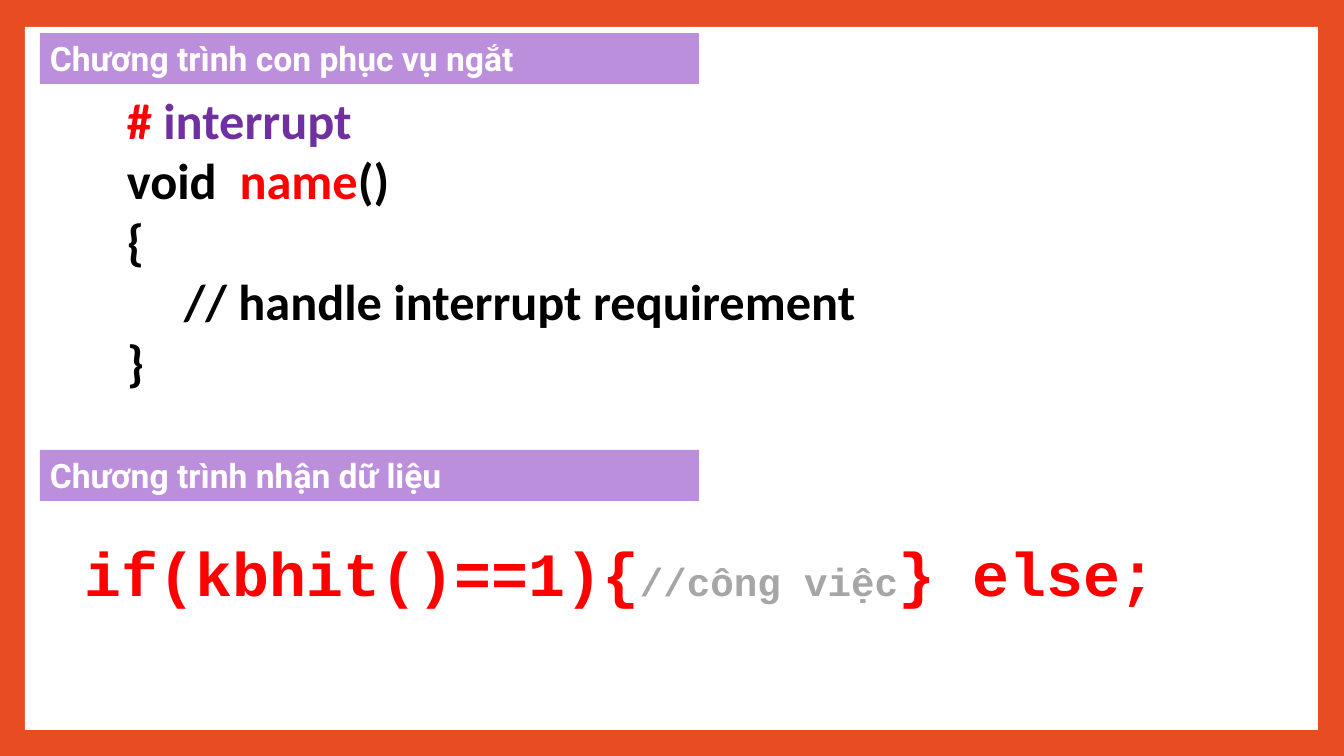
from pptx import Presentation
from pptx.dml.color import RGBColor
from pptx.enum.shapes import MSO_SHAPE
from pptx.enum.text import MSO_ANCHOR, MSO_AUTO_SIZE, PP_ALIGN
from pptx.util import Emu, Pt

PX = 914400 / 100.8

ORANGE = RGBColor(0xE8, 0x4C, 0x22)
WHITE = RGBColor(0xFF, 0xFF, 0xFF)
LILAC = RGBColor(0xBC, 0x8F, 0xDD)
PURPLE = RGBColor(0x70, 0x30, 0xA0)
RED = RGBColor(0xFF, 0x00, 0x00)
GREY = RGBColor(0xA6, 0xA6, 0xA6)
BLACK = RGBColor(0x00, 0x00, 0x00)

HANDLER_CODE = [
    [("# ", RED, 36), ("interrupt", PURPLE, 36)],
    [("void  ", BLACK, 36), ("name", RED, 36), ("()", BLACK, 36)],
    [("{", BLACK, 36)],
    [("     // handle interrupt requirement", BLACK, 36)],
    [("}", BLACK, 36)],
]
RECEIVE_CODE = [
    [("if(kbhit()==1){", RED, 44), ("//công việc", GREY, 28), ("} else;", RED, 44)],
]


def px(n):
    return Emu(round(n * PX))


def add_rect(slide, x, y, w, h, color):
    sp = slide.shapes.add_shape(MSO_SHAPE.RECTANGLE, px(x), px(y), px(w), px(h))
    sp.shadow.inherit = False
    sp.fill.solid()
    sp.fill.fore_color.rgb = color
    sp.line.fill.background()
    return sp


def add_heading(slide, y, text):
    tf = add_rect(slide, 40, y, 659, 51, LILAC).text_frame
    tf.word_wrap = True
    tf.auto_size = MSO_AUTO_SIZE.SHAPE_TO_FIT_TEXT
    tf.vertical_anchor = MSO_ANCHOR.TOP
    p = tf.paragraphs[0]
    p.text = text
    p.alignment = PP_ALIGN.LEFT
    p.font.name = "Roboto"
    p.font.size = Pt(24)
    p.font.bold = True
    p.font.color.rgb = WHITE


def add_code(slide, x, y, w, h, font, lines):
    tf = slide.shapes.add_textbox(px(x), px(y), px(w), px(h)).text_frame
    tf.word_wrap = True
    tf.auto_size = MSO_AUTO_SIZE.SHAPE_TO_FIT_TEXT
    for i, line in enumerate(lines):
        p = tf.add_paragraph() if i else tf.paragraphs[0]
        p.font.name = font
        p.font.bold = True
        p.font.size = Pt(line[0][2])
        for text, color, size in line:
            r = p.add_run()
            r.text = text
            r.font.name = font
            r.font.bold = True
            r.font.size = Pt(size)
            r.font.color.rgb = color


def main():
    prs = Presentation()
    prs.slide_width, prs.slide_height = px(1344), px(756)
    slide = prs.slides.add_slide(prs.slide_layouts[6])
    slide.background.fill.solid()
    slide.background.fill.fore_color.rgb = ORANGE

    add_rect(slide, 25, 27, 1293, 703, WHITE)
    add_code(slide, 117, 84, 1041, 316, "Calibri", HANDLER_CODE)
    add_heading(slide, 33, "Chương trình con phục vụ ngắt")
    add_code(slide, 75, 530, 1303, 85, "Courier New", RECEIVE_CODE)
    add_heading(slide, 450, "Chương trình nhận dữ liệu")
    prs.save("out.pptx")


if __name__ == "__main__":
    main()
